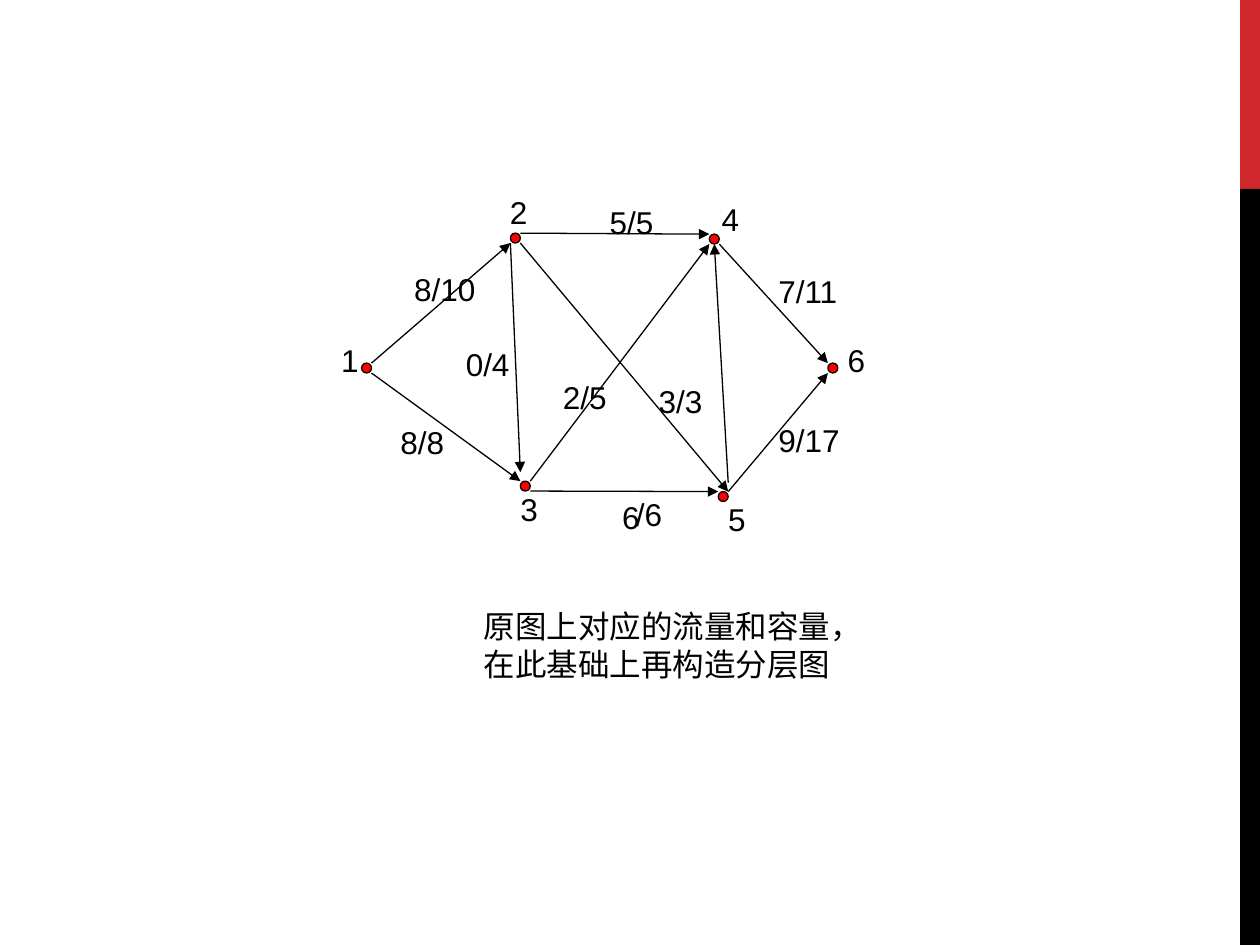
from dataclasses import dataclass

from lxml import etree
from pptx import Presentation
from pptx.dml.color import RGBColor
from pptx.enum.shapes import MSO_CONNECTOR, MSO_SHAPE
from pptx.enum.text import MSO_AUTO_SIZE
from pptx.oxml.ns import qn
from pptx.util import Cm, Pt

RECT, OVAL = MSO_SHAPE.RECTANGLE, MSO_SHAPE.OVAL
STRAIGHT = MSO_CONNECTOR.STRAIGHT
FIT_SHAPE = MSO_AUTO_SIZE.SHAPE_TO_FIT_TEXT


@dataclass(frozen=True)
class Theme:
    black: RGBColor = RGBColor(0, 0, 0)
    accent: RGBColor = RGBColor(0xD1, 0x28, 0x2E)
    node: RGBColor = RGBColor(0xFF, 0, 0)
    font: str = "Arial"
    size: Pt = Pt(18)
    line: Pt = Pt(0.75)


THEME = Theme()
WIDTH, HEIGHT = 25.4, 19.05
DOT = 0.2

# Top-left corner of each node dot, in cm inside the graph box
NODES = {
    1: (0.69, 3.62), 2: (3.69, 1.0), 3: (3.89, 6.0),
    4: (7.7, 1.02), 5: (7.88, 6.21), 6: (10.09, 3.62),
}

# Points on a dot's bounding box, as fractions of its size
TL, TR, BL, BR, BOTTOM = (0, 0), (1, 0), (0, 1), (1, 1), (0.5, 1)
ABOVE_L, ABOVE_R = (0, -0.9), (1, -0.9)
EDGES = [
    (1, TR, 2, BL), (1, BR, 3, TL), (3, BR, 5, TL), (2, TR, 4, TL),
    (4, BR, 6, TL), (5, TR, 6, BL), (3, TR, 4, BL), (2, BR, 5, TR),
    (2, BL, 3, ABOVE_L), (5, ABOVE_R, 4, BOTTOM),
]

# Node names, then flow/capacity labels
LABELS = [
    ("1", 0.03, 3.06), ("2", 3.43, 0.06), ("3", 3.64, 6.05),
    ("4", 7.7, 0.21), ("5", 7.83, 6.26), ("6", 10.24, 3.06),
    ("8/8", 1.22, 4.71), ("8/10", 1.5, 1.61), ("5/5", 5.44, 0.26),
    ("6", 5.69, 6.21), ("/6", 5.97, 6.16), ("9/17", 8.84, 4.66),
    ("7/11", 8.84, 1.66), ("2/5", 4.5, 3.79), ("3/3", 6.43, 3.87),
    ("0/4", 2.54, 3.13),
]


def add_filled(slide, kind, x, y, w, h, color, outlined=False):
    sp = slide.shapes.add_shape(kind, Cm(x), Cm(y), Cm(w), Cm(h))
    sp.shadow.inherit = False
    sp.fill.solid()
    sp.fill.fore_color.rgb = color
    if outlined:
        sp.line.color.rgb = THEME.black
        sp.line.width = THEME.line
    else:
        sp.line.fill.background()


def add_arrow(slide, start, end):
    line = slide.shapes.add_connector(STRAIGHT, *map(Cm, start + end))
    line.line.color.rgb = THEME.black
    line.line.width = THEME.line
    etree.SubElement(line.line._get_or_add_ln(), qn("a:tailEnd"), type="triangle")
    etree.SubElement(line._element.spPr, qn("a:effectLst"))


def add_text(slide, x, y, w, h, lines):
    tf = slide.shapes.add_textbox(Cm(x), Cm(y), Cm(w), Cm(h)).text_frame
    tf.word_wrap = False
    tf.auto_size = FIT_SHAPE
    for i, text in enumerate(lines):
        p = tf.add_paragraph() if i else tf.paragraphs[0]
        r = p.add_run()
        r.text = text
        r.font.name = THEME.font
        r.font.size = THEME.size
        r.font.color.rgb = THEME.black


def add_side_bar(slide, x, y, w, h):
    top = h / 5
    add_filled(slide, RECT, x, y, w, top, THEME.accent)
    add_filled(slide, RECT, x, y + top, w, h - top, THEME.black)


def add_flow_graph(slide, x, y):
    def point(node, anchor):
        left, top = NODES[node]
        return x + left + anchor[0] * DOT, y + top + anchor[1] * DOT

    for left, top in NODES.values():
        add_filled(slide, OVAL, x + left, y + top, DOT, DOT, THEME.node, True)
    for a, start, b, end in EDGES:
        add_arrow(slide, point(a, start), point(b, end))
    for text, left, top in LABELS:
        slashes = text.count("/")
        width = 0.51 + 0.35 * (len(text) - slashes) + 0.18 * slashes
        add_text(slide, x + left, y + top, width, 1.02, [text])


def add_caption(slide, x, y, w, h):
    add_text(slide, x, y, w, h,
             ["原图上对应的流量和容量，", "在此基础上再构造分层图"])


def main():
    prs = Presentation()
    prs.slide_width, prs.slide_height = Cm(WIDTH), Cm(HEIGHT)
    slide = prs.slides.add_slide(prs.slide_layouts[6])
    add_side_bar(slide, 25, 0, WIDTH - 25, HEIGHT)
    add_flow_graph(slide, 6.6, 3.7)
    add_caption(slide, 9.5, 12.12, 8.13, 1.78)
    prs.save("out.pptx")


if __name__ == "__main__":
    main()
